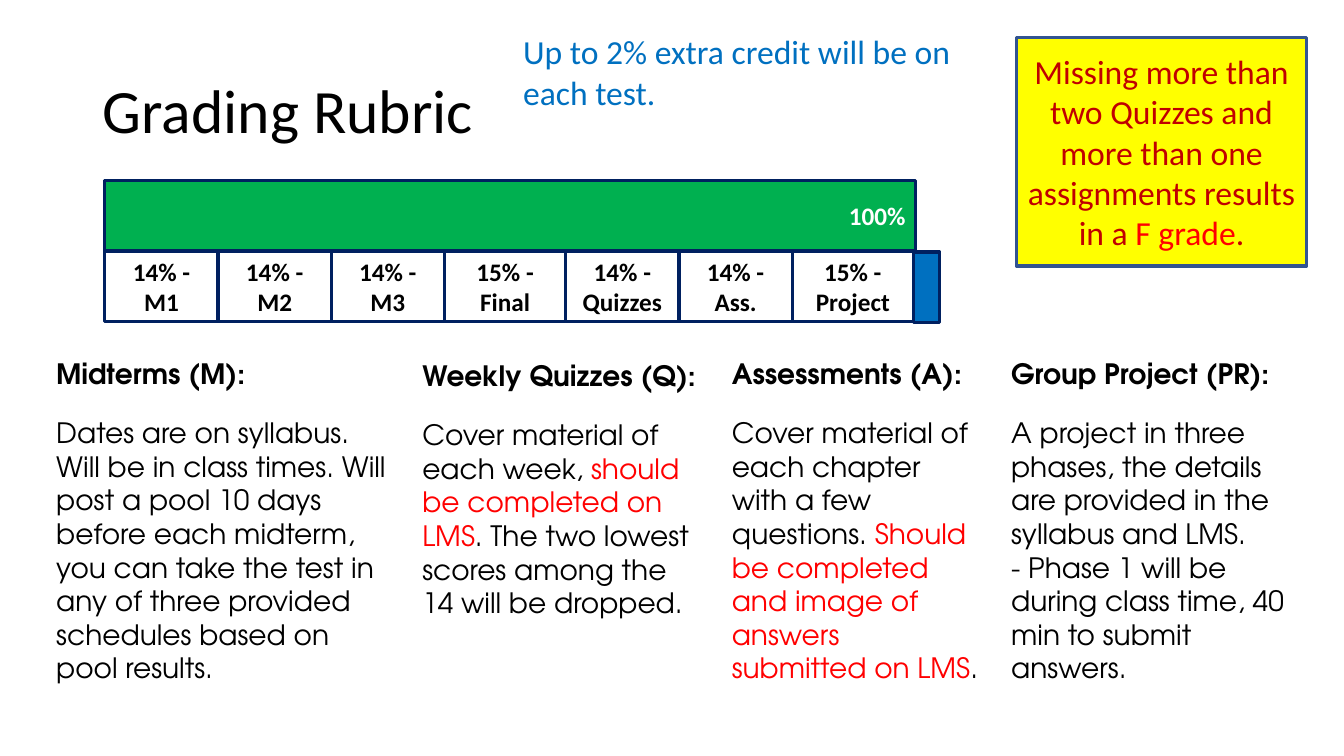
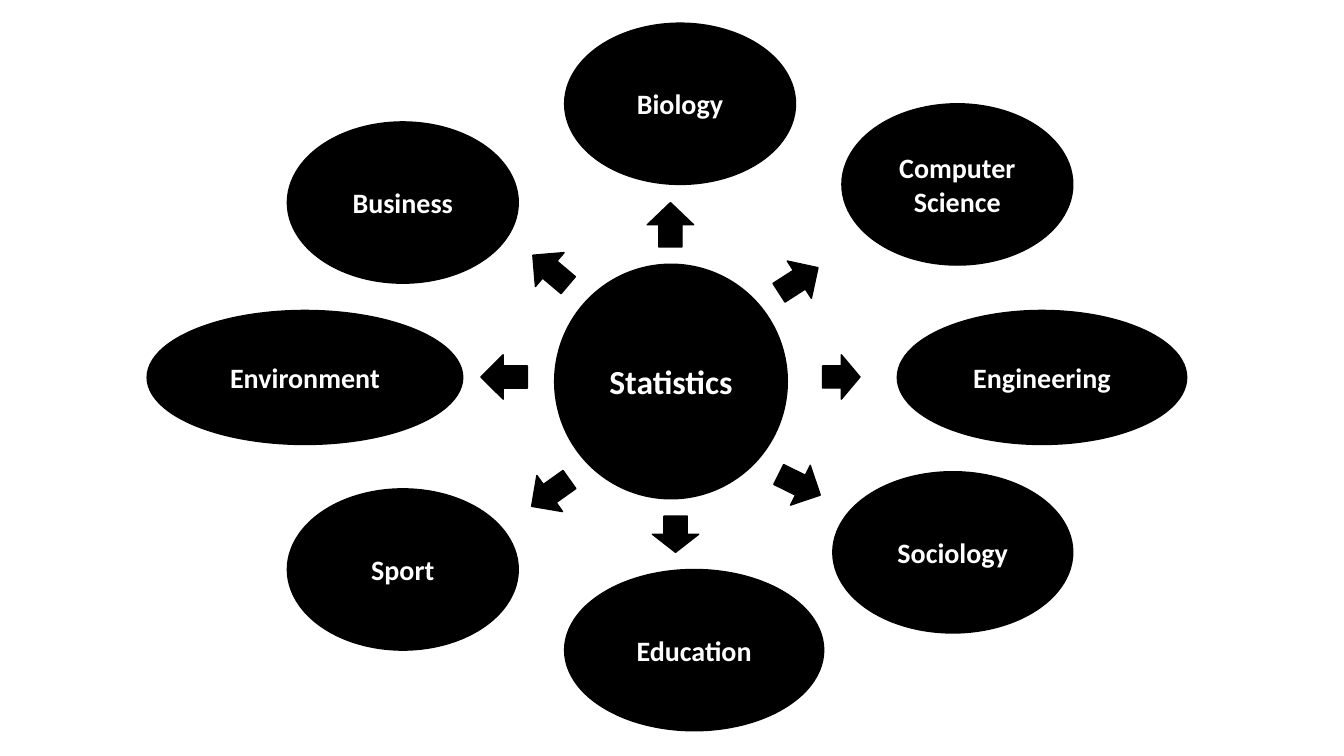
from pptx import Presentation
from pptx import util as u
from pptx.dml import color
from pptx.enum import shapes, text

BLACK = color.RGBColor(0x00, 0x00, 0x00)
WHITE = color.RGBColor(0xFF, 0xFF, 0xFF)
NAVY = color.RGBColor(0x00, 0x20, 0x60)
BLUE = color.RGBColor(0x00, 0x70, 0xC0)
GREEN = color.RGBColor(0x00, 0xB0, 0x50)
YELLOW = color.RGBColor(0xFF, 0xFF, 0x00)
RED = color.RGBColor(0xFF, 0x00, 0x00)
DARK_RED = color.RGBColor(0xC0, 0x00, 0x00)
STEEL = color.RGBColor(0x32, 0x54, 0x91)

MAIN_FONT = "Calibri"
COLUMN_FONT = "TeX Gyre Adventor"
LEFT, CENTER, RIGHT = text.PP_ALIGN.LEFT, text.PP_ALIGN.CENTER, text.PP_ALIGN.RIGHT
RECTANGLE = shapes.MSO_SHAPE.RECTANGLE
OVAL = shapes.MSO_SHAPE.OVAL
CONNECTOR_OVAL = shapes.MSO_SHAPE.FLOWCHART_CONNECTOR
ARROW = shapes.MSO_SHAPE.RIGHT_ARROW

BAR_LEFT, BAR_TOP, BAR_HEIGHT = 1.04, 1.79, 0.7
SEGMENTS_TOP, SEGMENTS_WIDTH = 2.49, 8.02
SHARES = [(14, "M1"), (14, "M2"), (14, "M3"), (15, "Final"),
          (14, "Quizzes"), (14, "Ass."), (15, "Project")]

COLUMNS = [
    ((0.46, 3.49, 3.54, 3.38), "Midterms (M):", [
        ["Dates are on syllabus. Will be in class times. Will post a pool 10 days before "
         "each midterm, you can take the test in any of three provided schedules based on "
         "pool results."]]),
    ((4.09, 3.51, 2.97, 2.71), "Weekly Quizzes (Q):", [
        ["Cover material of each week, ", ("should be completed on LMS", RED),
         ". The two lowest scores among the 14 will be dropped."]]),
    ((7.16, 3.49, 2.67, 3.38), "Assessments (A):", [
        ["Cover material of each chapter with a few questions. ",
         ("Should be completed and image of answers submitted on LMS", RED), "."]]),
    ((9.93, 3.49, 3.11, 3.38), "Group Project (PR):", [
        ["A project in three phases, the details are provided in the syllabus and LMS."],
        ["- Phase 1 will be during class time, 40 min to submit answers."]]),
]

FIELDS = [
    ("Biology", CONNECTOR_OVAL, (5.6, 0.23, 2.29, 1.6)),
    ("Computer Science", CONNECTOR_OVAL, (8.35, 1.03, 2.29, 1.6)),
    ("Engineering", OVAL, (8.9, 3.08, 2.87, 1.33)),
    ("Sociology", CONNECTOR_OVAL, (8.26, 4.68, 2.38, 1.6)),
    ("Education", CONNECTOR_OVAL, (5.6, 5.65, 2.57, 1.6)),
    ("Sport", CONNECTOR_OVAL, (2.85, 4.85, 2.29, 1.6)),
    ("Environment", OVAL, (1.46, 3.08, 3.13, 1.33)),
    ("Business", CONNECTOR_OVAL, (2.85, 1.21, 2.29, 1.6)),
]
ARROWS = [
    ((6.43, 2, 0.44, 0.46), 270),
    ((7.69, 2.56, 0.46, 0.44), 327.2),
    ((8.16, 3.52, 0.37, 0.44), 0),
    ((7.7, 4.59, 0.46, 0.44), 26.4),
    ((6.52, 5.07, 0.36, 0.46), 90),
    ((5.23, 4.67, 0.46, 0.44), 144.6),
    ((4.77, 3.52, 0.46, 0.44), 180),
    ((5.23, 2.46, 0.46, 0.44), 220.2),
]


def inches(box):
    """Convert left, top, width and height to lengths."""
    return [u.Inches(value) for value in box]


def write(shape, *runs, size=20, bold=False, ink=BLACK, font=MAIN_FONT,
          align=LEFT, after=0, spacing=None):
    """Write a paragraph of runs, each plain text or a (text, colour) pair."""
    frame = shape.text_frame
    paragraph = frame.paragraphs[-1]
    if paragraph.runs:
        paragraph = frame.add_paragraph()
    paragraph.alignment = align
    paragraph.space_after = u.Pt(after)
    if spacing:
        paragraph.line_spacing = spacing
    for item in runs:
        words, run_ink = item if isinstance(item, tuple) else (item, ink)
        run = paragraph.add_run()
        run.text = words
        run.font.name = font
        run.font.size = u.Pt(size)
        run.font.bold = bold
        run.font.color.rgb = run_ink


def add_shape(slide, kind, box, fill=None, line=BLACK, weight=1):
    """Add a flat preset shape, unfilled when no fill is given."""
    shape = slide.shapes.add_shape(kind, *inches(box))
    shape.shadow.inherit = False
    if fill is None:
        shape.fill.background()
    else:
        shape.fill.solid()
        shape.fill.fore_color.rgb = fill
    shape.line.color.rgb = line
    shape.line.width = u.Pt(weight)
    shape.text_frame.word_wrap = True
    shape.text_frame.vertical_anchor = text.MSO_ANCHOR.MIDDLE
    return shape


def add_text_box(slide, box):
    """Add a wrapping text box that grows with its text."""
    text_box = slide.shapes.add_textbox(*inches(box))
    text_box.text_frame.word_wrap = True
    text_box.text_frame.auto_size = text.MSO_AUTO_SIZE.SHAPE_TO_FIT_TEXT
    return text_box


def add_title(slide, words):
    """Place and fill the title placeholder."""
    title = slide.shapes.title
    title.left, title.top, title.width, title.height = inches((0.92, 0.4, 11.5, 1.45))
    title.text_frame.vertical_anchor = text.MSO_ANCHOR.MIDDLE
    write(title, words, size=44, spacing=0.9)


def add_grade_bar(slide):
    """Draw the total bar, the extra credit and the shares of the grade."""
    frame = {"line": NAVY, "weight": 2.25}
    total = add_shape(slide, RECTANGLE, (BAR_LEFT, BAR_TOP, 8.04, BAR_HEIGHT), GREEN, **frame)
    write(total, "100%", size=18, bold=True, ink=WHITE, align=RIGHT)
    add_shape(slide, RECTANGLE, (9.06, 2.5, 0.26, BAR_HEIGHT), BLUE, **frame)
    left = BAR_LEFT
    for share, name in SHARES:
        width = SEGMENTS_WIDTH * share / 100
        segment = add_shape(slide, RECTANGLE, (left, SEGMENTS_TOP, width, BAR_HEIGHT), **frame)
        write(segment, f"{share}% - {name}", size=18, bold=True, align=CENTER)
        left += width


def add_column(slide, box, heading, paragraphs):
    """Add a bold heading with its description below."""
    column = add_text_box(slide, box)
    write(column, heading, bold=True, font=COLUMN_FONT, after=18)
    for runs in paragraphs:
        write(column, *runs, font=COLUMN_FONT)


def build_rubric(presentation):
    """Build the grading rubric slide."""
    slide = presentation.slides.add_slide(presentation.slide_layouts[5])
    add_title(slide, "Grading Rubric")
    add_grade_bar(slide)
    warning = add_shape(slide, RECTANGLE, (10.08, 0.37, 2.88, 2.27), YELLOW, STEEL, 2.25)
    write(warning, "Missing more than two Quizzes and more than one assignments results in a ",
          ("F grade", RED), ".", size=24, ink=DARK_RED, align=CENTER)
    extra_credit = add_text_box(slide, (5.09, 0.26, 4.84, 0.91))
    write(extra_credit, "Up to 2% extra credit will be on each test.", size=24, ink=BLUE)
    for column in COLUMNS:
        add_column(slide, *column)


def build_fields(presentation):
    """Build the slide of fields around statistics."""
    slide = presentation.slides.add_slide(presentation.slide_layouts[6])
    hub = add_shape(slide, CONNECTOR_OVAL, (5.51, 2.63, 2.29, 2.31), BLACK, weight=2.25)
    write(hub, "Statistics", size=24, bold=True, ink=WHITE, align=CENTER)
    for name, kind, box in FIELDS:
        field = add_shape(slide, kind, box, BLACK)
        write(field, name, bold=True, ink=WHITE, align=CENTER)
    for box, angle in ARROWS:
        add_shape(slide, ARROW, box, BLACK).rotation = angle


def main():
    """Build and save the presentation."""
    presentation = Presentation()
    presentation.slide_width = u.Inches(13.33)
    presentation.slide_height = u.Inches(7.5)
    build_rubric(presentation)
    build_fields(presentation)
    presentation.save("out.pptx")


if __name__ == "__main__":
    main()
